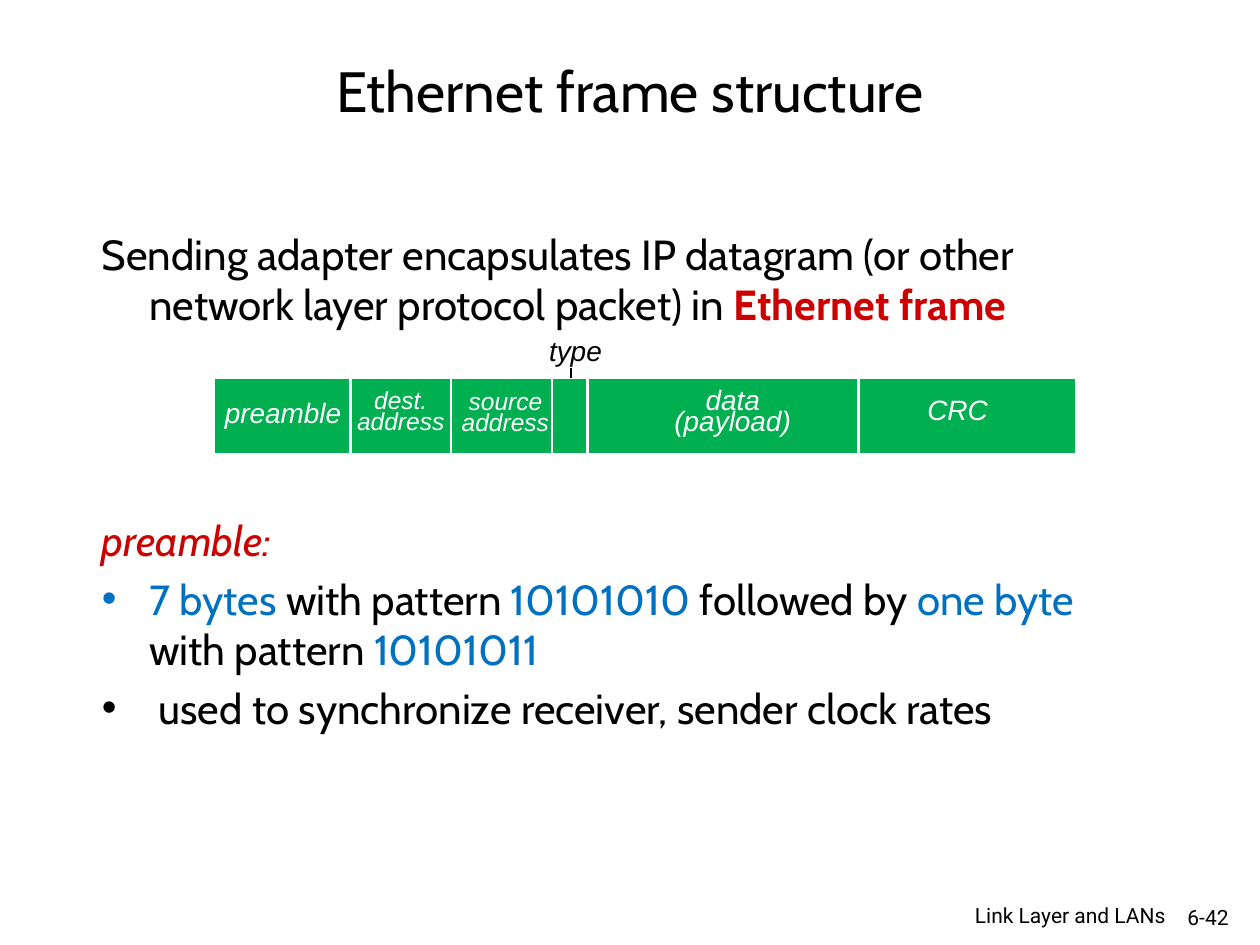
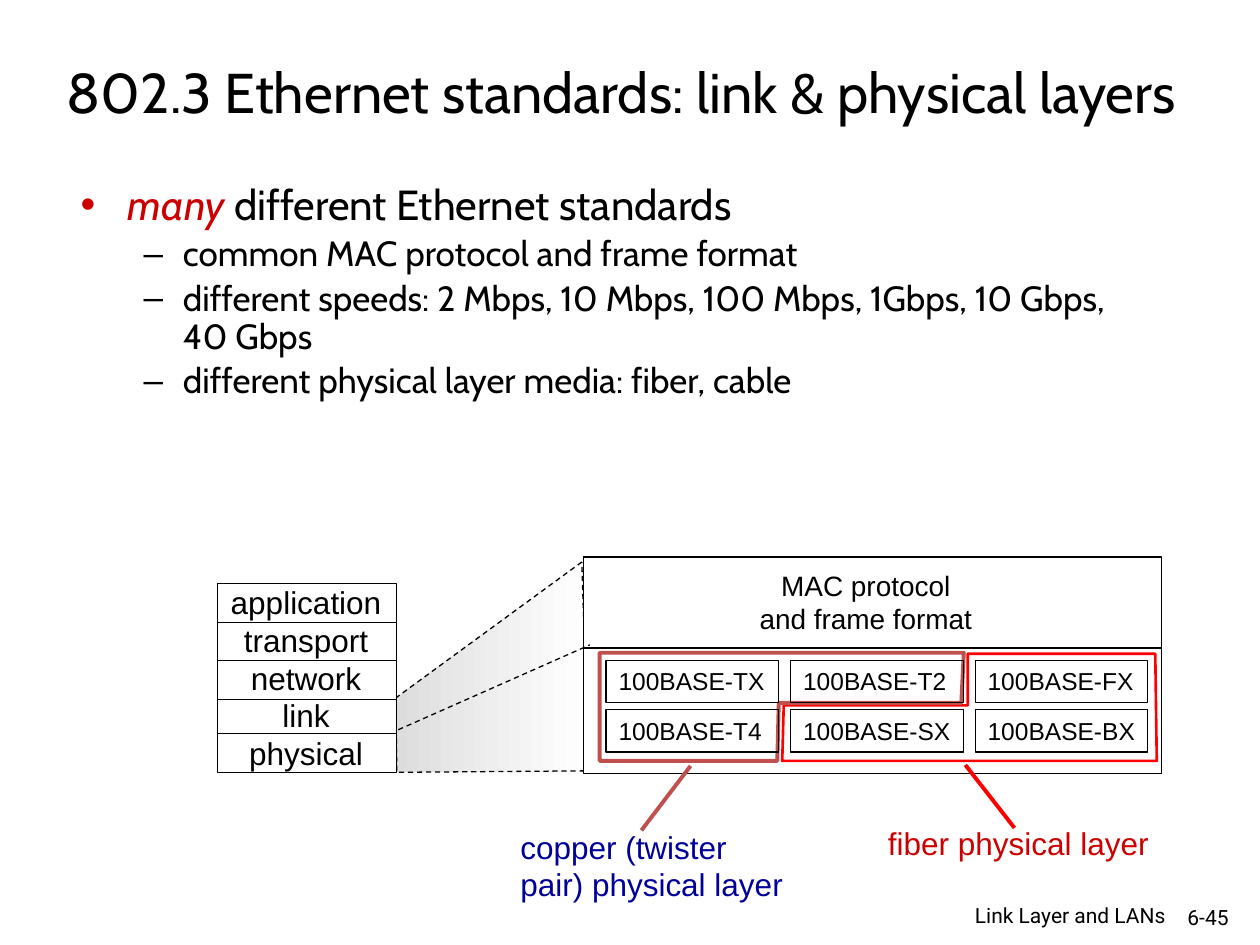
"""Build two slides on the Ethernet frame and the 802.3 standards."""
from lxml import etree
from pptx import Presentation, util as u
from pptx.dml.color import RGBColor
from pptx.enum import dml, shapes, text
from pptx.oxml.ns import qn

BLACK, WHITE, RED, BLUE = "000000", "FFFFFF", "CC0000", "0070C0"
GREEN, FIBER, COPPER, NAVY = "00B050", "FF0000", "C0504D", "000099"
LEFT, CENTER, RIGHT = text.PP_ALIGN.LEFT, text.PP_ALIGN.CENTER, text.PP_ALIGN.RIGHT
TOP, MIDDLE = text.MSO_ANCHOR.TOP, text.MSO_ANCHOR.MIDDLE
RECT, STRAIGHT = shapes.MSO_SHAPE.RECTANGLE, shapes.MSO_CONNECTOR.STRAIGHT
rgb = RGBColor.from_string


def write(sp, paras, align=LEFT, anchor=TOP, wrap=True, leading=None, **fmt):
    """Fill a shape with paragraphs, each a string or a list of (text, format) runs."""
    tf = sp.text_frame
    for name, value in {"word_wrap": wrap, "vertical_anchor": anchor,
                        "auto_size": text.MSO_AUTO_SIZE.NONE}.items():
        setattr(tf, name, value)
    for i, runs in enumerate(paras):
        p = tf.add_paragraph() if i else tf.paragraphs[0]
        p.alignment = align
        if leading:
            p.line_spacing = leading
        for words, extra in [(runs, {})] if isinstance(runs, str) else runs:
            r = p.add_run()
            r.text = words
            look = {"name": "Arial", "color": BLACK, **fmt, **extra}
            r.font.color.rgb = rgb(look.pop("color"))
            look["size"] = u.Pt(look["size"])
            for name, value in look.items():
                setattr(r.font, name, value)
    return tf


def style(sp, color, width=0.75, dash=False, fill=None):
    """Set the outline, the fill where there is one, and drop the shadow."""
    sp.line.color.rgb = rgb(color)
    sp.line.width = u.Pt(width)
    if dash:
        sp.line.dash_style = dml.MSO_LINE.DASH
    if fill:
        sp.fill.solid()
        sp.fill.fore_color.rgb = rgb(fill)
    elif hasattr(sp, "fill"):
        sp.fill.background()
    etree.SubElement(sp._element.spPr, qn("a:effectLst"))


prs = Presentation()
prs.slide_width, prs.slide_height = u.Cm(25.4), u.Cm(19.05)

pages = [
    ("Ethernet frame structure", 32.4, (1.9, 0.97, 21.59, 1.7),
     (1.8, 4.47, 21.59, 12.07), "6-42",
     [[("Sending adapter encapsulates IP datagram (or other network layer "
        "protocol packet) in ", {}),
       ("Ethernet frame", {"color": RED, "bold": True})],
      [("preamble:", {"color": RED, "italic": True})],
      [("7 bytes ", {"color": BLUE}), ("with pattern ", {}),
       ("10101010", {"color": BLUE}), (" followed by ", {}),
       ("one byte ", {"color": BLUE}), ("with pattern ", {}),
       ("10101011", {"color": BLUE})],
      " used to synchronize receiver, sender clock rates"]),
    ("802.3 Ethernet standards: link & physical layers", 32, (0.43, 0.25, 24.21, 3.18),
     (1.37, 3.58, 21.59, 5.84), "6-45",
     [[("many ", {"color": RED, "italic": True}), ("different Ethernet standards", {})],
      [("common MAC protocol and frame format", {"size": 20})],
      [("different speeds: 2 Mbps, 10 Mbps, 100 Mbps, 1Gbps, 10 Gbps, 40 Gbps",
        {"size": 20})],
      [("different physical layer media: fiber, cable", {"size": 20})]]),
]
slides, bodies = [], []
for title, size, title_box, body_box, number, paras in pages:
    s = prs.slides.add_slide(prs.slide_layouts[1])
    heading, body = s.placeholders
    for sp, box in ((heading, title_box), (body, body_box)):
        sp.left, sp.top, sp.width, sp.height = map(u.Cm, box)
    write(heading, [title], CENTER, MIDDLE, name="Cabin", size=size)
    bodies.append(write(body, paras, name="Cabin", size=24))
    for words, box in ((number, (23.5, 18.11, 1.52, 0.76)),
                       ("Link Layer and LANs", (17.7, 18.11, 6.05, 0.66))):
        sp = s.shapes.add_textbox(*map(u.Cm, box))
        write(sp, [words], RIGHT, MIDDLE, name="Roboto", size=12)
    slides.append(s)

for p in bodies[0].paragraphs[:2]:
    pPr = p._p.get_or_add_pPr()
    etree.SubElement(pPr, qn("a:buNone"))
bodies[0].paragraphs[1].space_before = u.Pt(106)
for i, p in enumerate(bodies[1].paragraphs):
    p.level = min(i, 1)
    p.line_spacing = 0.9

s = slides[0]
frame_top, frame_bottom = 7.62, 9.14
sp = s.shapes.add_shape(RECT, *map(u.Cm, (4.32, frame_top, 17.37, 1.52)))
style(sp, WHITE, fill=GREEN)
tick = s.shapes.add_connector(STRAIGHT, *map(u.Cm, (11.51, 7.42, 11.51, frame_top)))
style(tick, BLACK)
for x in (7.06, 9.09, 11.13, 11.84, 17.3):
    divider = s.shapes.add_connector(STRAIGHT, *map(u.Cm, (x, frame_top, x, frame_bottom)))
    style(divider, WHITE, 1.5)
for paras, size, box in (
        (["dest.", "address"], 14, (6.91, 7.8, 2.34, 1.14)),
        (["source", "address"], 14, (9.02, 7.82, 2.34, 1.14)),
        (["data (payload)"], 16, (12.85, 7.85, 3.84, 1.14)),
        (["CRC"], 16, (18.11, 8.05, 2.39, 0.74)),
        (["preamble"], 16, (4.22, 8.1, 2.97, 0.74))):
    sp = s.shapes.add_textbox(*map(u.Cm, box))
    write(sp, paras, CENTER, leading=u.Pt(12), size=size, color=WHITE, italic=True)
sp = s.shapes.add_textbox(*map(u.Cm, (10.82, 6.6, 2.13, 0.94)))
write(sp, ["type"], size=16, italic=True)

s = slides[1]
outlines = [
    ([(11.73, 11.33), (7.98, 14.07), (8.0, 15.57), (11.86, 15.54)], BLACK, 0.75),
    ([(19.51, 13.18), (19.51, 14.22), (15.8, 14.22), (15.77, 15.34),
      (23.32, 15.34), (23.29, 13.18)], FIBER, 1.5),
    ([(19.43, 13.16), (19.38, 14.17), (15.7, 14.17), (15.67, 15.34),
      (12.09, 15.34), (12.09, 13.16)], COPPER, 2.25),
]
freeforms = []
for points, color, width in outlines:
    start, *rest = [(u.Cm(x), u.Cm(y)) for x, y in points]
    fb = s.shapes.build_freeform(*start)
    fb.add_line_segments(rest, close=True)
    sp = fb.convert_to_shape()
    style(sp, color, width, dash=color == BLACK)
    freeforms.append(sp)
wedge = freeforms[0]
wedge.fill.gradient()
wedge.fill.gradient_angle = 0
for stop, color in zip(wedge.fill.gradient_stops, ("DDDDDD", WHITE)):
    stop.color.rgb = rgb(color)

for box in ((4.39, 11.76, 3.61, 3.81), (11.76, 11.23, 11.66, 4.37)):
    sp = s.shapes.add_shape(RECT, *map(u.Cm, box))
    style(sp, BLACK, fill=WHITE)
for sp in freeforms[1:]:
    s.shapes._spTree.append(sp._element)

layer_lines = [(4.39, y, 8.0, y) for y in (12.55, 13.31, 14.1, 14.79)]
for ends, color, width, dash in (
        *((ends, BLACK, 0.75, False) for ends in layer_lines),
        ((4.39, 15.01, 4.39, 15.49), BLACK, 0.75, True),
        ((8.0, 14.96, 8.0, 15.44), BLACK, 0.75, True),
        ((11.76, 13.06, 23.42, 13.06), BLACK, 0.75, False),
        ((8.03, 14.71, 11.89, 13.0), BLACK, 0.75, True),
        ((19.46, 15.42, 20.45, 16.69), FIBER, 2.25, False),
        ((13.92, 15.44, 12.93, 16.74), COPPER, 2.25, False)):
    style(s.shapes.add_connector(STRAIGHT, *map(u.Cm, ends)), color, width, dash)

standards = [["100BASE-TX", "100BASE-T2", "100BASE-FX"],
             ["100BASE-T4", "100BASE-SX", "100BASE-BX"]]
for row, names in enumerate(standards):
    for col, name in enumerate(names):
        box = (12.22 + 3.72 * col, 13.31 + 0.99 * row, 3.48, 0.86)
        sp = s.shapes.add_shape(RECT, *map(u.Cm, box))
        style(sp, BLACK)
        write(sp, [name], wrap=False, size=14)

for paras, size, align, color, box in (
        (["application", "transport", "network", "link", "physical"], 18, CENTER, BLACK,
         (4.39, 11.63, 3.56, 4.06)),
        (["MAC protocol", "and frame format"], 16, CENTER, BLACK, (15.04, 11.33, 4.83, 1.63)),
        (["fiber physical layer"], 18, LEFT, RED, (17.65, 16.48, 5.82, 1.02)),
        (["copper (twister", "pair) physical layer"], 18, LEFT, NAVY,
         (10.24, 16.56, 5.87, 1.8))):
    sp = s.shapes.add_textbox(*map(u.Cm, box))
    write(sp, paras, align, wrap=False, size=size, color=color)

prs.save("out.pptx")
